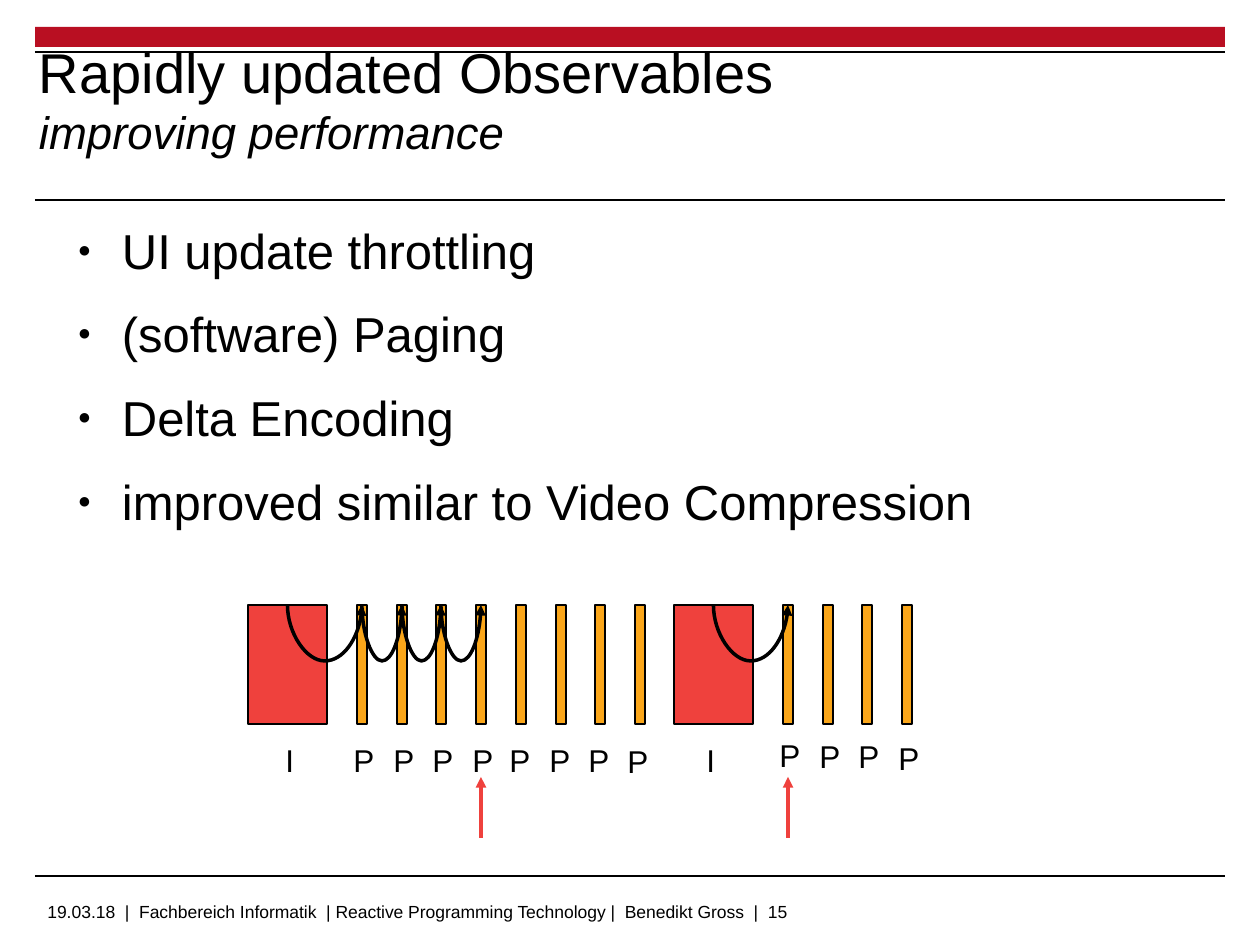
from dataclasses import dataclass
from itertools import pairwise

from lxml import etree
from pptx import Presentation
from pptx.dml.color import RGBColor
from pptx.enum.shapes import MSO_CONNECTOR, MSO_SHAPE
from pptx.enum.text import MSO_ANCHOR, MSO_AUTO_SIZE, PP_ALIGN
from pptx.oxml.ns import qn
from pptx.util import Emu, Pt

RECTANGLE = MSO_SHAPE.RECTANGLE
STRAIGHT, CURVE = MSO_CONNECTOR.STRAIGHT, MSO_CONNECTOR.CURVE
GROW, FIXED = MSO_AUTO_SIZE.SHAPE_TO_FIT_TEXT, MSO_AUTO_SIZE.NONE
TOP_SIDE = 0
TITLE_ONLY = 5


@dataclass(frozen=True)
class Theme:
    font: str = "Arial"
    black: str = "000000"
    banner: str = "B90F22"
    key_frame: str = "EF413D"
    delta_frame: str = "FAA61A"
    title: int = 32
    subtitle: int = 26
    body: int = 28
    label: int = 18
    footer: int = 10
    rule: float = 1.13


@dataclass(frozen=True)
class Box:
    left: int
    top: int
    width: int
    height: int

    def emu(self):
        return [px(n) for n in (self.left, self.top, self.width, self.height)]


@dataclass(frozen=True)
class FrameGroup:
    """A key frame (I) and the delta frames (P) that follow it."""
    left: int
    key_label_left: int
    label_shifts: tuple[int, ...]
    label_tops: tuple[int, ...]
    curves: int
    arrow_under: int


THEME = Theme()
FRAME_TOP, FRAME_HEIGHT = 605, 119
KEY_WIDTH, DELTA_WIDTH = 79, 10
FIRST_DELTA, DELTA_PITCH = 109, 39.7
KEY_LABEL_TOP = 735
ARROW_FROM, ARROW_TO = 838, 777
CURVE_SPAN, CURVE_ADJUST = 360, -56300000  # EMU, and 1/100000 of that span

GROUPS = (
    FrameGroup(248, 273, (16, 16, 16, 16, 19, 19, 19, 20), (735,) * 7 + (736,), 4, 3),
    FrameGroup(674, 694, (16,) * 4, (730, 731, 731, 733), 1, 0),
)
TOPICS = ("UI update throttling", "(software) Paging", "Delta Encoding",
          "improved similar to Video Compression")
FOOTER = ("19.03.18  |  Fachbereich Informatik  | Reactive Programming Technology |"
          "  Benedikt Gross  |  15")


def px(count: float) -> Emu:
    return Emu(round(count * 914400 / 126))


def rgb(color: str) -> RGBColor:
    return RGBColor.from_string(color)


def add_run(paragraph, text: str, size: int, italic: bool = False) -> None:
    run = paragraph.add_run()
    run.text = text
    style = {"name": THEME.font, "size": Pt(size), "bold": False, "italic": italic}
    for attribute, value in style.items():
        setattr(run.font, attribute, value)
    run.font.color.rgb = rgb(THEME.black)


def format_frame(frame, **values) -> None:
    for attribute, value in values.items():
        setattr(frame, attribute, value)


def add_label(slide, box: Box, text: str, size: int, wrap: bool, fit=GROW) -> None:
    frame = slide.shapes.add_textbox(*box.emu()).text_frame
    format_frame(frame, word_wrap=wrap, auto_size=fit)
    add_run(frame.paragraphs[0], text, size)


def add_block(slide, box: Box, fill: str, outlined: bool = True):
    block = slide.shapes.add_shape(RECTANGLE, *box.emu())
    block.shadow.inherit = False
    block.fill.solid()
    block.fill.fore_color.rgb = rgb(fill)
    if outlined:
        block.line.color.rgb = rgb(THEME.black)
        block.line.width = Pt(0)
    else:
        block.line.fill.background()
    return block


def add_line(slide, kind, start: tuple, end: tuple, color: str,
             width: float = 0, arrow: bool = True):
    line = slide.shapes.add_connector(kind, *map(px, start + end))
    line.line.color.rgb = rgb(color)
    line.line.width = Pt(width)
    properties = line._element.spPr
    if arrow:
        etree.SubElement(properties.find(qn("a:ln")), qn("a:tailEnd"), type="triangle")
    etree.SubElement(properties, qn("a:effectLst"))
    return line


def add_reference(slide, source, target) -> None:
    """Hang a curved arrow between the top middles of two frames."""
    start, end = (frame.left + frame.width // 2 for frame in (source, target))
    curve = add_line(slide, CURVE, (0, 0), (0, 0), THEME.black)
    curve.begin_connect(source, TOP_SIDE)
    curve.end_connect(target, TOP_SIDE)
    span = end - start
    turned = {"left": (start + end - CURVE_SPAN) // 2, "top": source.top - span // 2,
              "width": CURVE_SPAN, "height": span}
    for attribute, value in turned.items():
        setattr(curve, attribute, Emu(value))
    properties = curve._element.spPr
    transform = properties.find(qn("a:xfrm"))
    for flip in ("flipH", "flipV"):
        transform.attrib.pop(flip, None)
    transform.set("rot", "16200000")
    adjustments = properties.find(qn("a:prstGeom")).find(qn("a:avLst"))
    etree.SubElement(adjustments, qn("a:gd"), name="adj1", fmla=f"val {CURVE_ADJUST}")


def add_frame_group(slide, group: FrameGroup) -> None:
    lefts = [round(group.left + FIRST_DELTA + i * DELTA_PITCH)
             for i in range(len(group.label_tops))]
    frames = [add_block(slide, Box(group.left, FRAME_TOP, KEY_WIDTH, FRAME_HEIGHT),
                        THEME.key_frame)]
    add_label(slide, Box(group.key_label_left, KEY_LABEL_TOP, 30, 49), "I",
              THEME.label, True)
    for left, shift, top in zip(lefts, group.label_shifts, group.label_tops):
        frames.append(add_block(slide, Box(left, FRAME_TOP, DELTA_WIDTH, FRAME_HEIGHT),
                                THEME.delta_frame))
        add_label(slide, Box(left - shift, top, 45, 48), "P", THEME.label, False)
    for source, target in pairwise(frames[:group.curves + 1]):
        add_reference(slide, source, target)
    arrow_x = lefts[group.arrow_under] + DELTA_WIDTH // 2
    add_line(slide, STRAIGHT, (arrow_x, ARROW_FROM), (arrow_x, ARROW_TO),
             THEME.key_frame)


def set_title(slide) -> None:
    title = slide.shapes.title
    title.left, title.top, title.width, title.height = Box(39, 35, 915, 126).emu()
    format_frame(title.text_frame, word_wrap=True, auto_size=GROW,
                 vertical_anchor=MSO_ANCHOR.MIDDLE, margin_left=0, margin_right=0,
                 margin_top=0, margin_bottom=0)
    heading = title.text_frame.paragraphs[0]
    heading.alignment = PP_ALIGN.LEFT
    add_run(heading, "Rapidly updated Observables", THEME.title)
    heading.add_line_break()
    add_run(heading, "improving performance", THEME.subtitle, italic=True)


def add_topics(slide) -> None:
    frame = slide.shapes.add_textbox(*Box(63, 220, 1134, 548).emu()).text_frame
    format_frame(frame, word_wrap=True, auto_size=FIXED, margin_left=0,
                 margin_right=0, margin_top=0, margin_bottom=0)
    for i, text in enumerate(TOPICS):
        topic = frame.add_paragraph() if i else frame.paragraphs[0]
        topic.space_before = Pt(14.2)
        properties = topic._p.get_or_add_pPr()
        properties.set("marL", str(px(59)))
        properties.set("indent", str(-px(44)))
        color = etree.SubElement(properties, qn("a:buClr"))
        etree.SubElement(color, qn("a:srgbClr"), val=THEME.black)
        etree.SubElement(properties, qn("a:buSzPct"), val="45000")
        etree.SubElement(properties, qn("a:buFont"), typeface=THEME.font)
        etree.SubElement(properties, qn("a:buChar"), char="●")
        add_run(topic, text, THEME.body)


def main() -> None:
    deck = Presentation()
    deck.slide_width, deck.slide_height = px(1260), px(945)
    slide = deck.slides.add_slide(deck.slide_layouts[TITLE_ONLY])
    add_block(slide, Box(35, 27, 1190, 20), THEME.banner, outlined=False)
    for y in (52, 200, 876):
        add_line(slide, STRAIGHT, (35, y), (1225, y), THEME.black, THEME.rule, False)
    add_label(slide, Box(35, 895, 1007, 32), FOOTER, THEME.footer, True, FIXED)
    set_title(slide)
    add_topics(slide)
    for group in GROUPS:
        add_frame_group(slide, group)
    deck.save("out.pptx")


if __name__ == "__main__":
    main()
